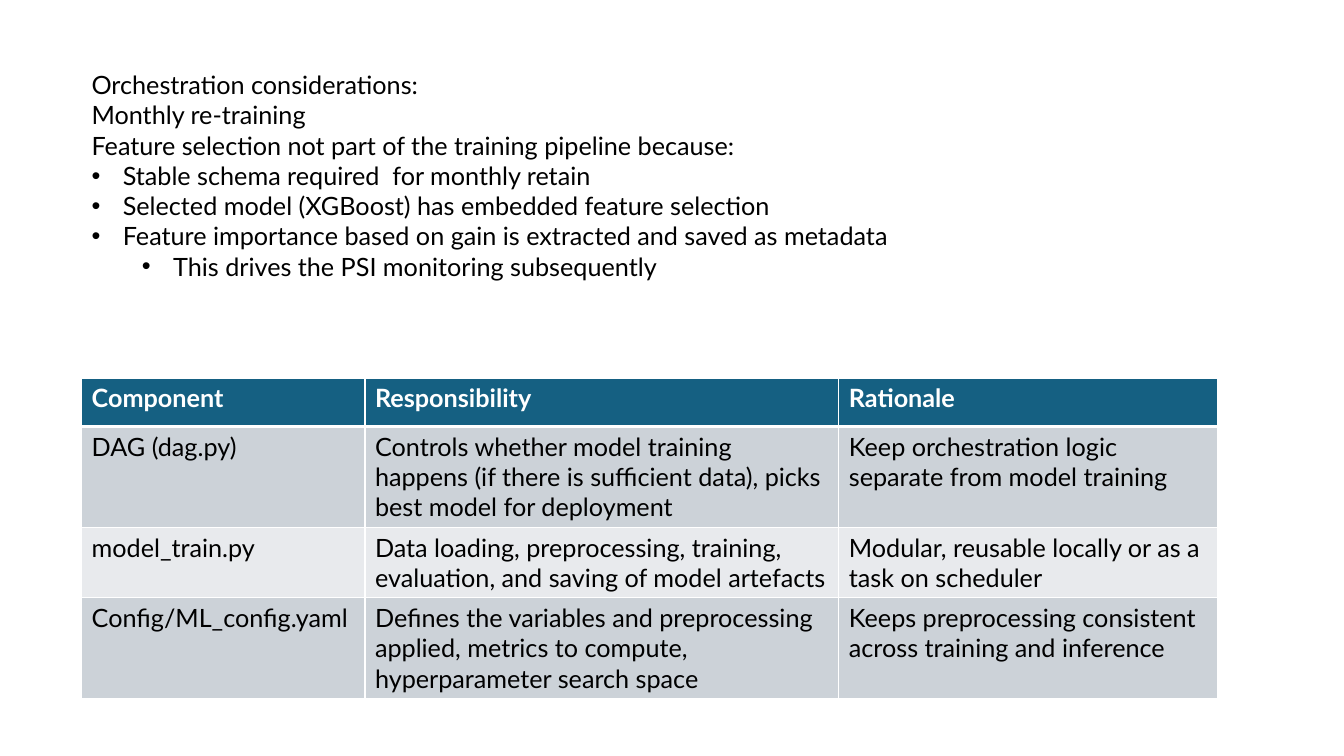
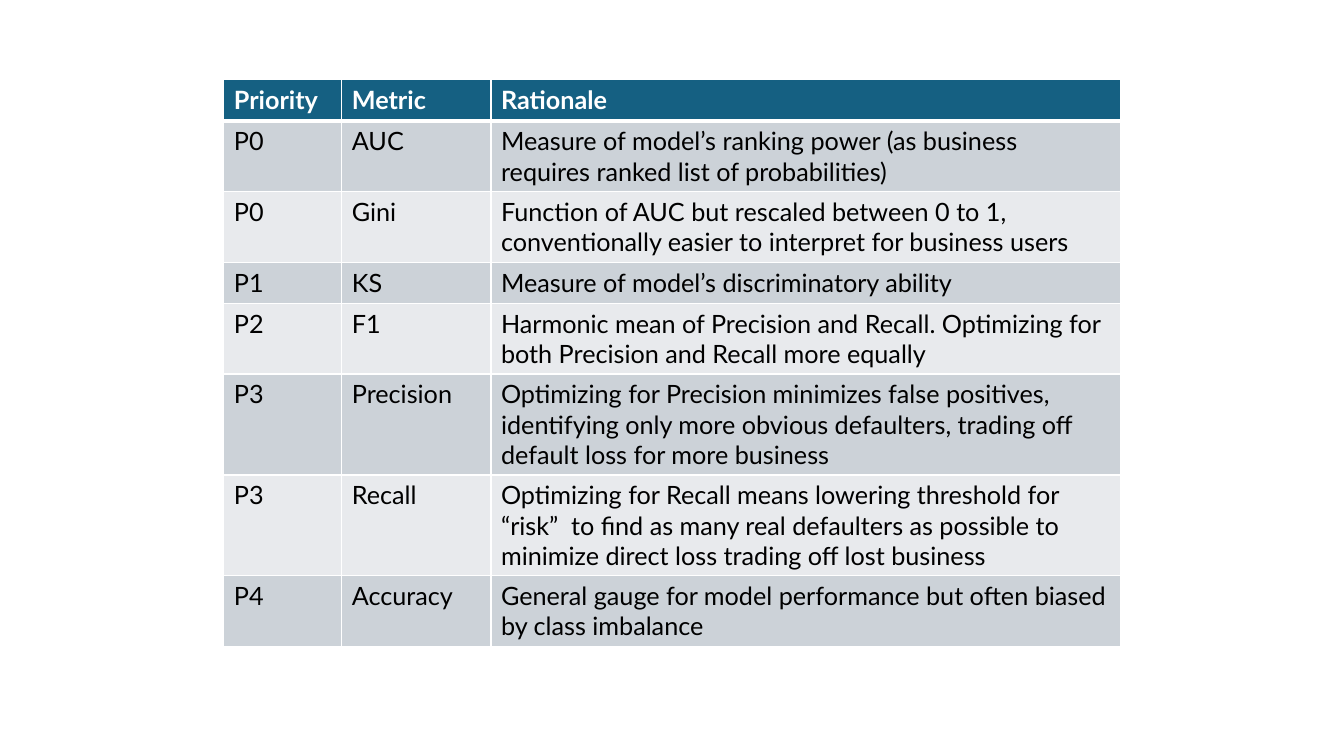
from lxml import etree
from pptx import Presentation
from pptx import util as u
from pptx.dml.color import RGBColor
from pptx.enum import text
from pptx.oxml.ns import qn

HUES = {"head": "156082", "odd": "CCD2D8", "even": "E8EAED",
        "ink": "000000", "white": "FFFFFF"}
FONT = "Lato"


def write(par, words, hue="ink", bold=False):
    run = par.add_run()
    run.text = words
    run.font.name = FONT
    run.font.size = u.Pt(18)
    run.font.bold = bold
    run.font.color.rgb = RGBColor.from_string(HUES[hue])


def add_grid(slide, left, top, widths, height, rows):
    """Add a table with a dark header row and banded body rows."""
    frame = slide.shapes.add_table(
        len(rows), len(widths), u.Inches(left), u.Inches(top),
        u.Inches(sum(widths)), u.Inches(height * len(rows)))
    grid = frame.table
    for col, width in zip(grid.columns, widths):
        col.width = u.Inches(width)
    for r, row in enumerate(rows):
        grid.rows[r].height = u.Inches(height)
        fill = "head" if r == 0 else "odd" if r % 2 else "even"
        # The line under the header is thicker than the others.
        lines = {"L": 1, "R": 1, "T": 3 if r == 1 else 1, "B": 3 if r == 0 else 1}
        for c, words in enumerate(row):
            cell = grid.cell(r, c)
            props = cell._tc.get_or_add_tcPr()
            for side, size in lines.items():
                line = etree.SubElement(props, qn(f"a:ln{side}"), w=str(u.Pt(size)))
                solid = etree.SubElement(line, qn("a:solidFill"))
                etree.SubElement(solid, qn("a:srgbClr"), val=HUES["white"])
            cell.fill.solid()
            cell.fill.fore_color.rgb = RGBColor.from_string(HUES[fill])
            write(cell.text_frame.paragraphs[0], words,
                  "white" if r == 0 else "ink", r == 0)


deck = Presentation()
deck.slide_width = u.Inches(13.33)
deck.slide_height = u.Inches(7.5)
blank = deck.slide_layouts[6]

# Orchestration
slide = deck.slides.add_slide(blank)
box = slide.shapes.add_textbox(u.Inches(0.81), u.Inches(0.64),
                               u.Inches(11.72), u.Inches(2.22))
frame = box.text_frame
frame.word_wrap = True
frame.auto_size = text.MSO_AUTO_SIZE.SHAPE_TO_FIT_TEXT

# Each note has its left indent in inches; an indented note gets a bullet.
notes = [
    (0, "Orchestration considerations:"),
    (0, "Monthly re-training"),
    (0, "Feature selection not part of the training pipeline because:"),
    (0.31, "Stable schema required  for monthly retain"),
    (0.31, "Selected model (XGBoost) has embedded feature selection"),
    (0.31, "Feature importance based on gain is extracted and saved as metadata"),
    (0.81, "This drives the PSI monitoring subsequently"),
]
for i, (indent, words) in enumerate(notes):
    par = frame.add_paragraph() if i else frame.paragraphs[0]
    if indent:
        par.level = 1 if indent > 0.5 else 0
        props = par._p.get_or_add_pPr()
        props.set("marL", str(u.Inches(indent)))
        props.set("indent", str(u.Inches(-0.31)))
        etree.SubElement(props, qn("a:buFont"), typeface="Arial")
        etree.SubElement(props, qn("a:buChar"), char="•")
    write(par, words)

add_grid(slide, 0.81, 3.75, [2.81, 4.7, 3.76], 0.48, [
    ("Component", "Responsibility", "Rationale"),
    ("DAG (dag.py)",
     "Controls whether model training happens (if there is sufficient data), "
     "picks best model for deployment",
     "Keep orchestration logic separate from model training"),
    ("model_train.py",
     "Data loading, preprocessing, training, evaluation, and saving of model artefacts",
     "Modular, reusable locally or as a task on scheduler"),
    ("Config/ML_config.yaml",
     "Defines the variables and preprocessing applied, metrics to compute, "
     "hyperparameter search space",
     "Keeps preprocessing consistent across training and inference"),
])

# Metrics
slide = deck.slides.add_slide(blank)
add_grid(slide, 2.22, 0.79, [1.17, 1.48, 6.24], 0.41, [
    ("Priority", "Metric", "Rationale"),
    ("P0", "AUC", "Measure of model’s ranking power (as business requires "
                  "ranked list of probabilities)"),
    ("P0", "Gini", "Function of AUC but rescaled between 0 to 1, "
                   "conventionally easier to interpret for business users"),
    ("P1", "KS", "Measure of model’s discriminatory ability"),
    ("P2", "F1", "Harmonic mean of Precision and Recall. Optimizing for both "
                 "Precision and Recall more equally"),
    ("P3", "Precision", "Optimizing for Precision minimizes false positives, "
                        "identifying only more obvious defaulters, trading off "
                        "default loss for more business"),
    ("P3", "Recall", "Optimizing for Recall means lowering threshold for “risk”  "
                     "to find as many real defaulters as possible to minimize "
                     "direct loss trading off lost business"),
    ("P4", "Accuracy", "General gauge for model performance but often biased by "
                       "class imbalance"),
])

deck.save("out.pptx")
